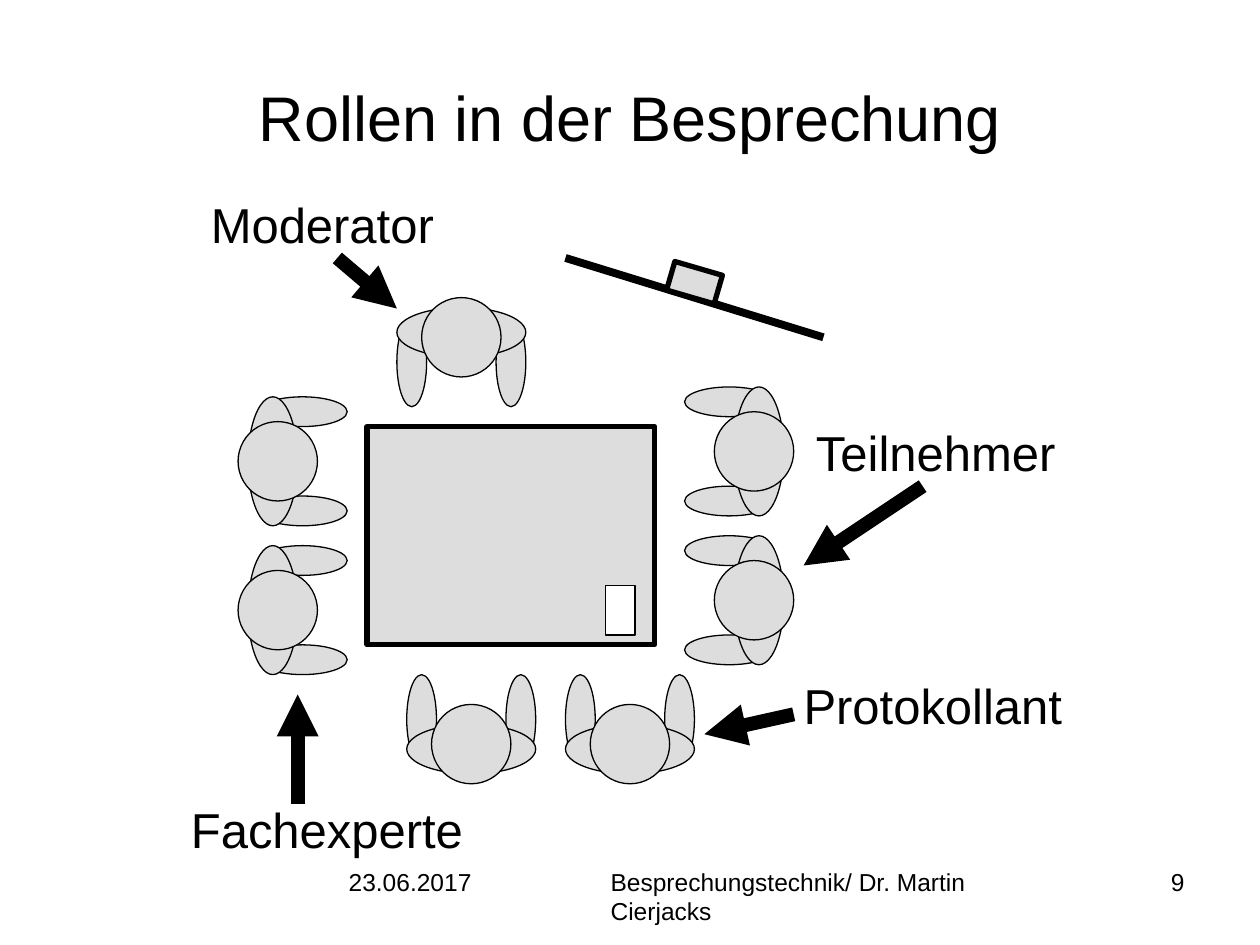
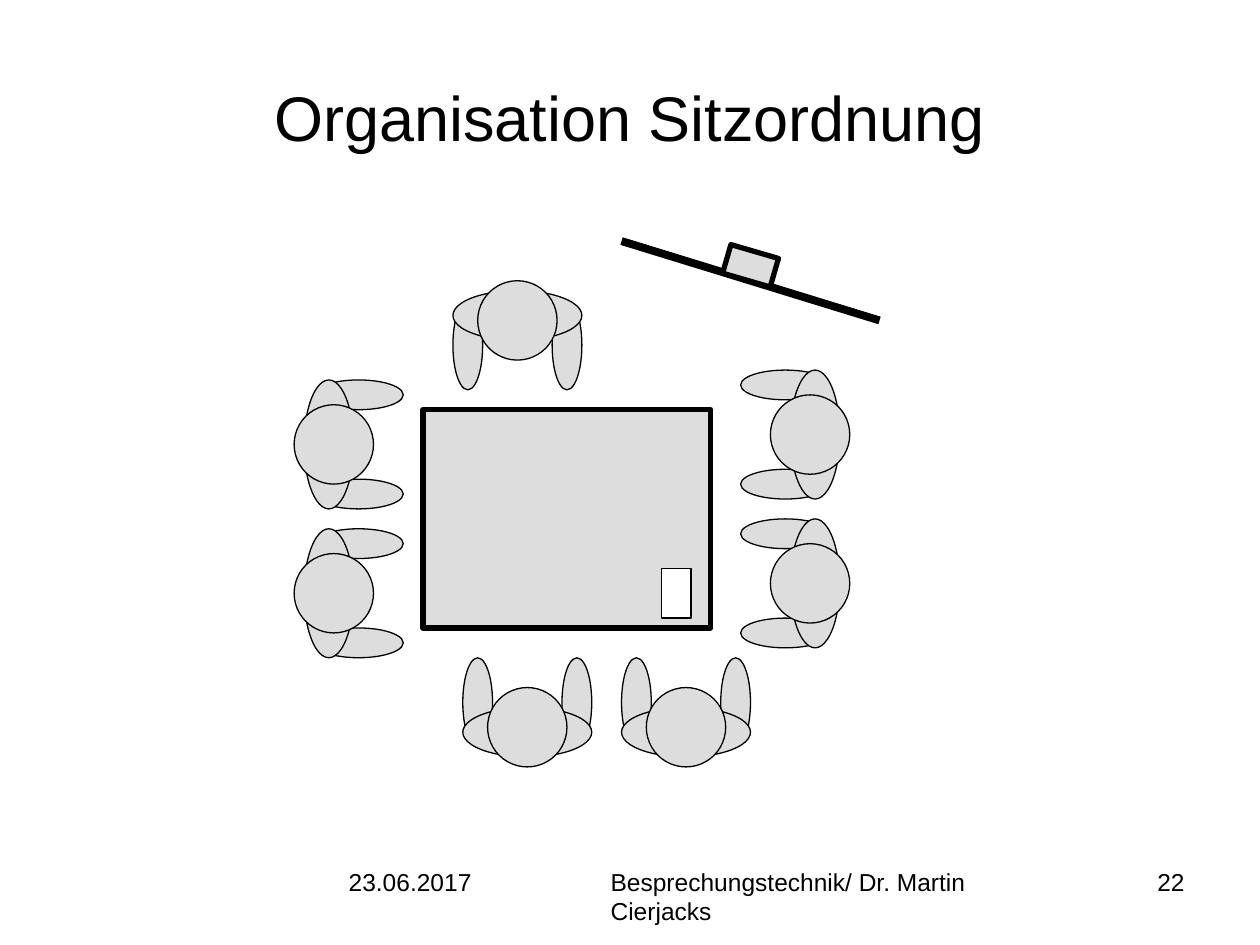
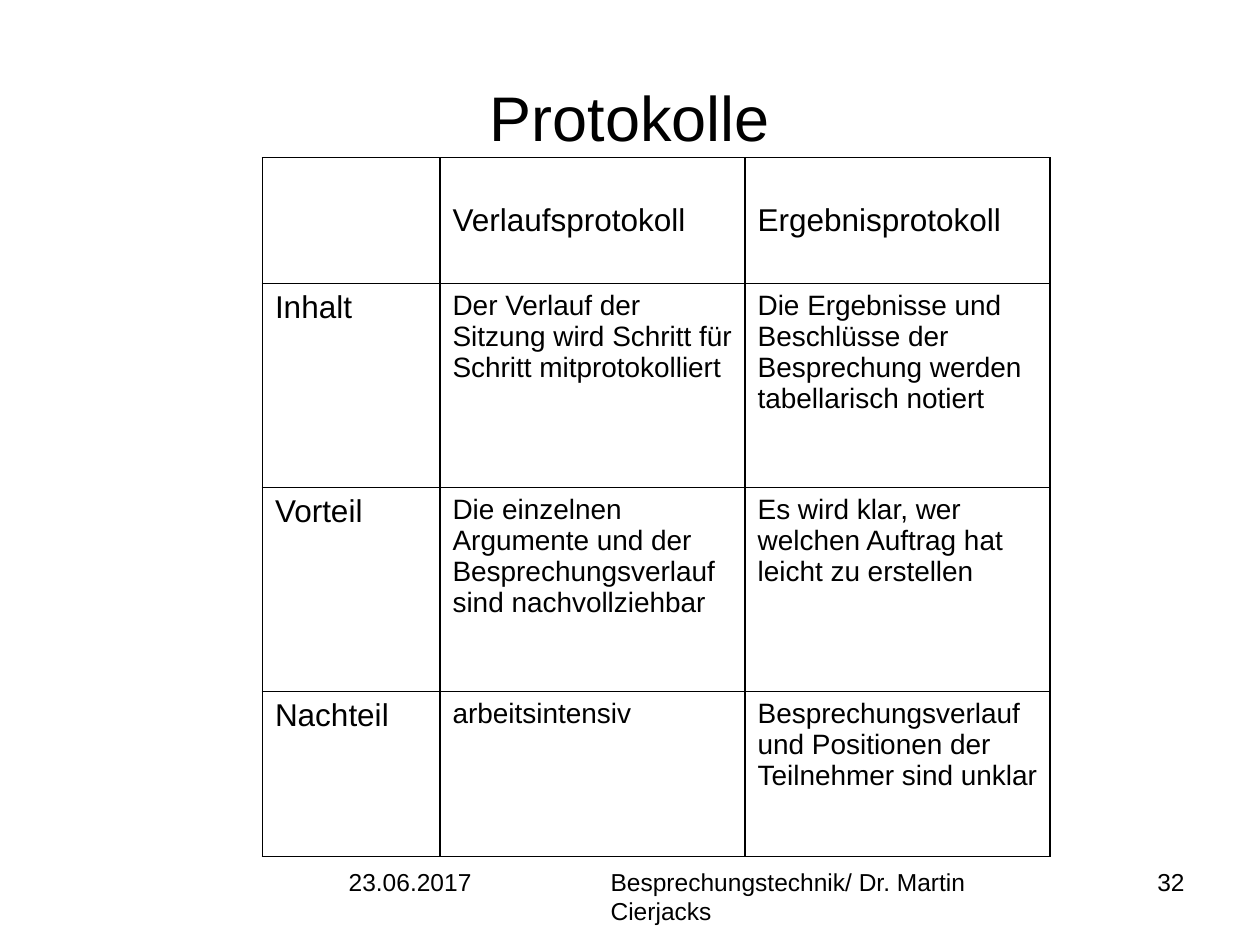
import pptx
import pptx.dml.color
import pptx.enum.shapes
import pptx.enum.text
import pptx.oxml
import pptx.oxml.ns
import pptx.util
import math

Cm = pptx.util.Cm
Pt = pptx.util.Pt
Align = pptx.enum.text.PP_ALIGN
Anchor = pptx.enum.text.MSO_ANCHOR
Shape = pptx.enum.shapes.MSO_SHAPE

FONT = "Arial"
BLACK, GREY, WHITE = "000000", "DDDDDD", "FFFFFF"
DATE = "23.06.2017"
FOOTER = "Besprechungstechnik/ Dr. Martin Cierjacks"

# Seats as centre x, centre y (cm within the seating plan) and viewing direction
SEATS = [
    (1.1, 4.1, 0), (1.1, 7.1, 0),
    (4.5, 1.9, 90),
    (4.7, 9.5, 270), (7.9, 9.5, 270),
    (10.1, 3.9, 180), (10.1, 6.9, 180),
]
# Ellipses of a person looking right: centre offset x, y, width, height
BODY = [
    (0.2, -1, 1.8, 0.6), (0.2, 1, 1.8, 0.6),
    (-0.4, 0, 1, 2.6),
    (-0.3, 0, 1.6, 1.6),
]
# Role, label box (left, top, width), arrow start and end
ROLES = [
    ("Moderator", (4, 3.8, 5.03), (6.8, 5.2), (8, 6.22)),
    ("Teilnehmer", (16.2, 8.4, 5.46), (18.6, 9.8), (16.2, 11.4)),
    ("Protokollant", (15.95, 13.5, 5.74), (16, 14.4), (14.2, 14.8)),
    ("Fachexperte", (3.6, 16, 6.02), (6, 16.2), (6, 14)),
]
PROTOCOLS = [
    ["", "Verlaufsprotokoll", "Ergebnisprotokoll"],
    ["Inhalt",
     "Der Verlauf der Sitzung wird Schritt für Schritt mitprotokolliert",
     "Die Ergebnisse und Beschlüsse der Besprechung werden tabellarisch notiert"],
    ["Vorteil",
     "Die einzelnen Argumente und der Besprechungsverlauf sind nachvollziehbar",
     "Es wird klar, wer welchen Auftrag hat\nleicht zu erstellen"],
    ["Nachteil",
     "arbeitsintensiv",
     "Besprechungsverlauf und Positionen der Teilnehmer sind unklar"],
]


def color(hex_code):
    return pptx.dml.color.RGBColor.from_string(hex_code)


def write(frame, text, size, align=Align.LEFT):
    frame.text = text
    for paragraph in frame.paragraphs:
        paragraph.alignment = align
        paragraph.font.name = FONT
        paragraph.font.size = Pt(size)
        paragraph.font.color.rgb = color(BLACK)


def add_text(slide, left, top, width, height, text, size, align=Align.LEFT):
    frame = slide.shapes.add_textbox(Cm(left), Cm(top), Cm(width), Cm(height)).text_frame
    frame.word_wrap = True
    write(frame, text, size, align)
    return frame


def add_outlined(shapes, kind, left, top, width, height, fill=GREY, line=0.75, turn=0):
    """Add a filled preset shape with a black outline."""
    shape = shapes.add_shape(kind, Cm(left), Cm(top), Cm(width), Cm(height))
    shape.rotation = turn
    shape.shadow.inherit = False
    shape.fill.solid()
    shape.fill.fore_color.rgb = color(fill)
    shape.line.color.rgb = color(BLACK)
    shape.line.width = Pt(line)


def add_line(shapes, start, end, width, arrow=False):
    line = shapes.add_connector(pptx.enum.shapes.MSO_CONNECTOR.STRAIGHT,
                                *map(Cm, (*start, *end)))
    line.line.color.rgb = color(BLACK)
    line.line.width = Pt(width)
    if arrow:
        pptx.oxml.ns.qn("a:tailEnd")
        head = pptx.oxml.parse_xml(
            f'<a:tailEnd {pptx.oxml.ns.nsdecls("a")} type="triangle"/>')
        line.line._get_or_add_ln().append(head)
    line._element.spPr.append(
        pptx.oxml.parse_xml(f'<a:effectLst {pptx.oxml.ns.nsdecls("a")}/>'))


def add_person(slide, x, y, direction):
    """Draw a person seen from above, centred on x, y."""
    person = slide.shapes.add_group_shape().shapes
    cos, sin = (round(f(math.radians(direction))) for f in (math.cos, math.sin))
    for dx, dy, width, height in BODY:
        left = x + dx * cos - dy * sin - width / 2
        top = y + dx * sin + dy * cos - height / 2
        add_outlined(person, Shape.OVAL, left, top, width, height, turn=direction)


def add_flipchart(slide, left, top):
    flipchart = slide.shapes.add_group_shape().shapes
    add_line(flipchart, (left, top), (left + 5.2, top + 1.6), 4.5)
    add_outlined(flipchart, Shape.RECTANGLE, left + 2.1, top + 0.2, 1, 0.6,
                 line=3, turn=16.2)


def add_seating_plan(slide, left, top):
    add_outlined(slide.shapes, Shape.RECTANGLE, left + 2.6, top + 3.4, 5.8, 4.4, line=3)
    add_flipchart(slide, left + 6.6, top)
    for x, y, direction in SEATS:
        add_person(slide, left + x, top + y, direction)
    add_outlined(slide.shapes, Shape.RECTANGLE, left + 7.4, top + 6.6, 0.6, 1, fill=WHITE)


def add_role(slide, role, label_box, start, end):
    frame = add_text(slide, *label_box, 1.45, role, 28)
    frame.word_wrap = False
    frame.auto_size = pptx.enum.text.MSO_AUTO_SIZE.SHAPE_TO_FIT_TEXT
    add_line(slide.shapes, start, end, 8, arrow=True)


def add_borders(cell):
    properties = cell._tc.get_or_add_tcPr()
    for side in "LRTB":
        properties.append(pptx.oxml.parse_xml(
            f'<a:ln{side} {pptx.oxml.ns.nsdecls("a")} w="{Pt(1)}"><a:solidFill>'
            f'<a:srgbClr val="{BLACK}"/></a:solidFill></a:ln{side}>'))


def add_protocol_table(slide, left, top):
    widths, heights = (3.58, 6.15, 6.15), (2.54, 4.11, 4.11, 3.33)
    table = slide.shapes.add_table(
        len(heights), len(widths), Cm(left), Cm(top),
        Cm(sum(widths)), Cm(sum(heights))).table
    table.first_row = table.horz_banding = False
    for column, width in zip(table.columns, widths):
        column.width = Cm(width)
    for r, (texts, height) in enumerate(zip(PROTOCOLS, heights)):
        table.rows[r].height = Cm(height)
        for c, text in enumerate(texts):
            cell = table.cell(r, c)
            is_heading = r == 0 or c == 0
            write(cell.text_frame, text, 18 if is_heading else 16)
            cell.vertical_anchor = Anchor.MIDDLE if r == 0 else Anchor.TOP
            add_borders(cell)
            cell.fill.background()


def add_page(deck, title, number):
    """Add a slide with the shared title and footer line."""
    slide = deck.slides.add_slide(deck.slide_layouts[6])
    heading = add_text(slide, 1.27, 0.76, 22.86, 3.18, title, 36, Align.CENTER)
    heading.vertical_anchor = Anchor.MIDDLE
    for left, width, text, align in [
        (6.78, 5.08, DATE, Align.LEFT),
        (12.06, 9.1, FOOTER, Align.LEFT),
        (18.21, 5.92, str(number), Align.RIGHT),
    ]:
        add_text(slide, left, 17.35, width, 1.32, text, 14, align)
    return slide


def main():
    deck = pptx.Presentation()
    deck.slide_width, deck.slide_height = Cm(25.4), Cm(19.05)

    roles = add_page(deck, "Rollen in der Besprechung", 9)
    add_seating_plan(roles, 4.8, 5.2)
    for role in ROLES:
        add_role(roles, *role)

    seating = add_page(deck, "Organisation Sitzordnung", 22)
    add_seating_plan(seating, 5.93, 4.86)

    protocols = add_page(deck, "Protokolle", 32)
    add_protocol_table(protocols, 5.29, 3.18)

    deck.save("out.pptx")


if __name__ == "__main__":
    main()
